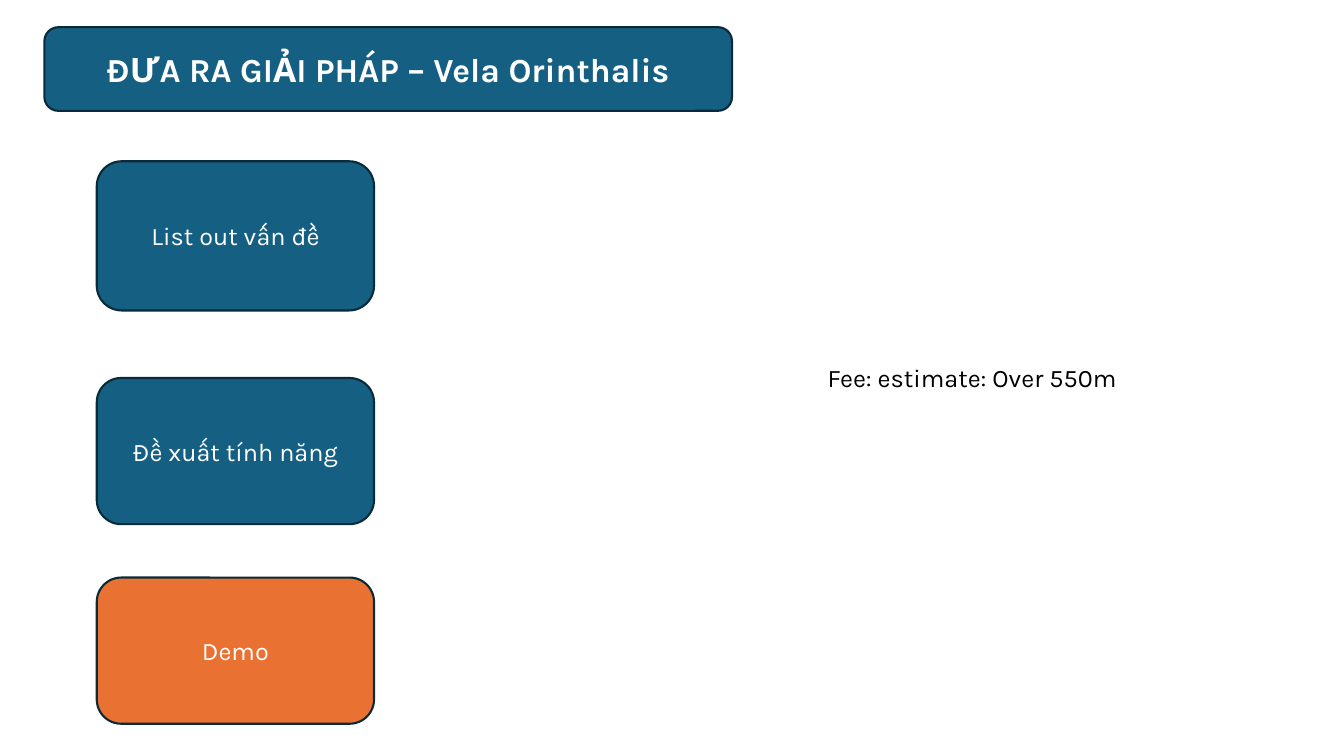
"""Build the solution slide: a title banner, three step boxes and a fee estimate."""
import pptx
import pptx.dml.color
import pptx.enum.shapes
import pptx.enum.text
import pptx.util

TITLE = ("ĐƯA RA GIẢI PHÁP – Vela Orinthalis", (44, 27, 682, 83))
STEPS = [
    ("List out vấn đề", 160, 148, "teal"),
    ("Đề xuất tính năng", 375, 145, "teal"),
    ("Demo", 573, 145, "orange"),
]
FEE = ("Fee: estimate: Over 550m", (811, 355, 341, 40))

STEP_LEFT, STEP_WIDTH = 96, 275
SLIDE_SIZE = (1333, 750)
EMU_PER_PX = 9144
THEME = {
    "font": "Karla",
    "title_size": 24,
    "body_size": 18,
    "line_width": 1.5,
    "teal": "156082",
    "orange": "E97132",
    "outline": "092A39",
    "light": "FFFFFF",
    "dark": "000000",
}


def px(*lengths):
    return [pptx.util.Emu(n * EMU_PER_PX) for n in lengths]


def color(name):
    return pptx.dml.color.RGBColor.from_string(THEME[name])


def write(sp, text, size, ink, bold=False):
    tf = sp.text_frame
    tf.word_wrap = True
    tf.text = text
    p = tf.paragraphs[0]
    font = p.runs[0].font
    font.name = THEME["font"]
    font.size = pptx.util.Pt(THEME[size])
    font.bold = bold
    font.color.rgb = color(ink)
    return tf, p


def add_box(s, text, box, fill, size="body_size", bold=False):
    sp = s.shapes.add_shape(
        pptx.enum.shapes.MSO_SHAPE.ROUNDED_RECTANGLE, *px(*box))
    sp.shadow.inherit = False
    sp.fill.solid()
    sp.fill.fore_color.rgb = color(fill)
    sp.line.color.rgb = color("outline")
    sp.line.width = pptx.util.Pt(THEME["line_width"])
    tf, p = write(sp, text, size, "light", bold)
    tf.vertical_anchor = pptx.enum.text.MSO_ANCHOR.MIDDLE
    p.alignment = pptx.enum.text.PP_ALIGN.CENTER


def main():
    prs = pptx.Presentation()
    prs.slide_width, prs.slide_height = px(*SLIDE_SIZE)
    s = prs.slides.add_slide(prs.slide_layouts[6])

    add_box(s, *TITLE, "teal", "title_size", bold=True)
    for text, top, height, fill in STEPS:
        add_box(s, text, (STEP_LEFT, top, STEP_WIDTH, height), fill)

    text, box = FEE
    tf, _ = write(s.shapes.add_textbox(*px(*box)), text, "body_size", "dark")
    tf.auto_size = pptx.enum.text.MSO_AUTO_SIZE.SHAPE_TO_FIT_TEXT

    prs.save("out.pptx")


if __name__ == "__main__":
    main()
